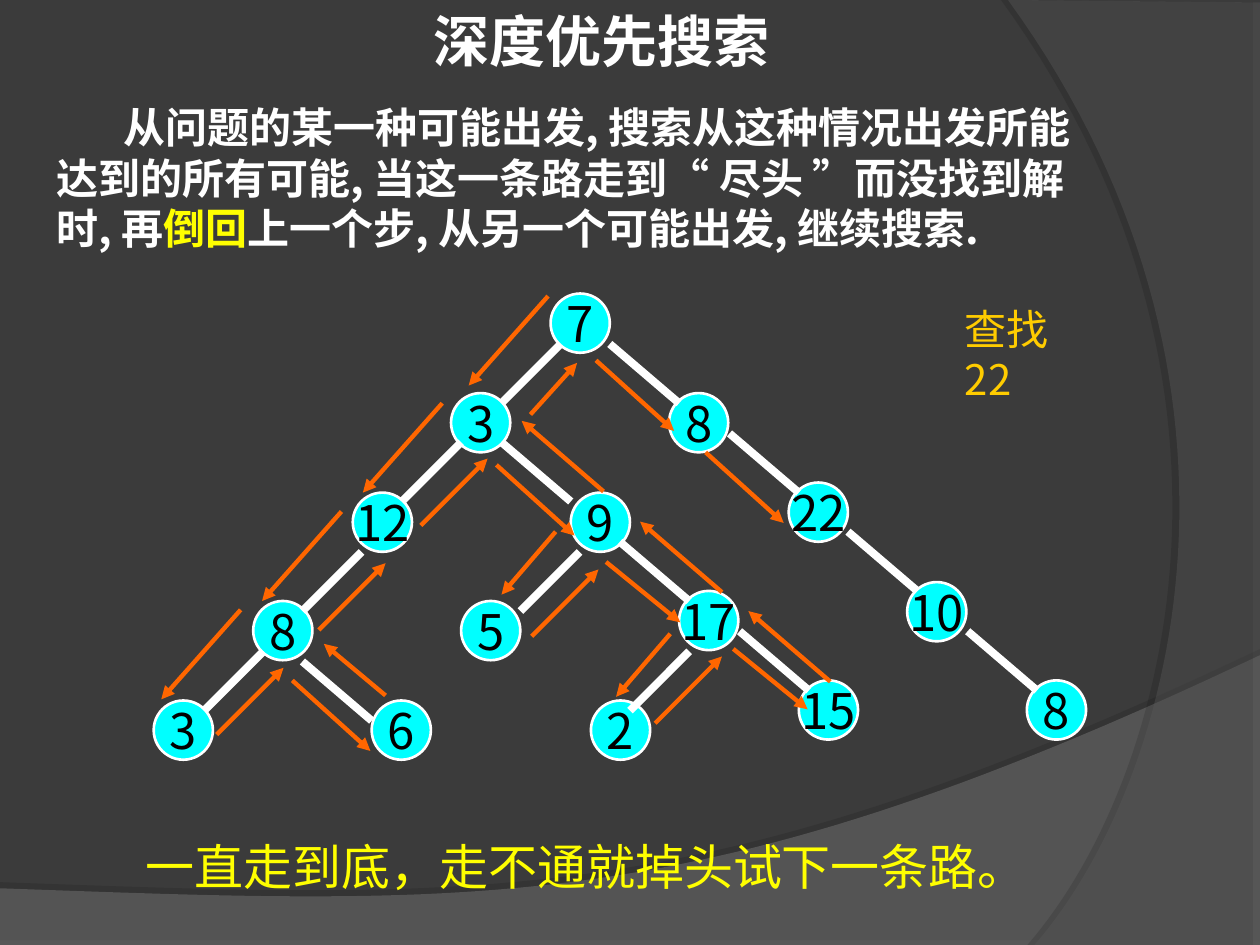
from lxml.etree import SubElement
from pptx import Presentation
from pptx.dml.color import RGBColor
from pptx.enum.shapes import MSO_CONNECTOR, MSO_SHAPE
from pptx.enum.text import MSO_ANCHOR, MSO_AUTO_SIZE, PP_ALIGN
from pptx.oxml.ns import qn
from pptx.util import Inches, Pt

COLORS = {
    "background": "3B3B3B",
    "lower_wave": "7C7C7C",
    "right_wave": "595959",
    "shadow": "000000",
    "white": "FFFFFF",
    "yellow": "FFFF00",
    "gold": "FFCC00",
    "node": "00FFFF",
    "node_text": "000000",
    "arrow": "FF6600",
}
CJK_FONT = "Noto Sans CJK SC"
NODE_SIZE = 0.47
CURVE_STEPS = 60

NODES = [
    ("7", 4.37, 2.33), ("3", 3.58, 3.12), ("22", 6.26, 3.83),
    ("8", 2.01, 4.77), ("8", 5.31, 3.12), ("9", 4.53, 3.91),
    ("12", 2.8, 3.91), ("10", 7.2, 4.62), ("17", 5.39, 4.69),
    ("5", 3.66, 4.77), ("6", 2.95, 5.56), ("8", 8.15, 5.4),
    ("15", 6.34, 5.4), ("2", 4.69, 5.56), ("3", 1.22, 5.56),
]
BRANCHES = {
    (-0.47, 0.47): [(4.45, 2.73), (3.66, 3.51), (2.87, 4.38), (2.09, 5.17),
                    (4.6, 4.38), (5.47, 5.17)],
    (0.55, 0.47): [(4.84, 2.73), (5.79, 3.44), (6.73, 4.22), (5.87, 5.01),
                   (3.98, 3.51), (2.4, 5.25), (4.92, 4.3), (7.68, 5.01)],
}
SEARCH_STEPS = {
    (-0.63, 0.71): [(4.35, 2.35), (3.51, 3.2), (2.71, 4.06), (1.91, 4.84)],
    (-0.43, 0.5): [(4.41, 4.22), (5.32, 5.03)],
    (0.62, 0.56): [(2.32, 5.4), (3.94, 3.69), (4.73, 2.86), (5.6, 3.59)],
    (0.59, 0.48): [(4.81, 4.46), (5.82, 5.15)],
    (0.53, -0.53): [(1.72, 5.83), (2.53, 5), (3.34, 4.17), (4.22, 5.05), (5.2, 5.74)],
    (0.37, -0.41): [(4.21, 3.29)],
    (-0.65, -0.56): [(6.59, 5.41), (5.73, 4.7), (4.79, 3.9)],
    (-0.49, -0.41): [(3.06, 5.52)],
}


def color(name):
    return RGBColor.from_string(COLORS[name])


def style_font(font, size, color_name, name, bold=False):
    font.size = Pt(size)
    font.name = name
    font.bold = bold
    font.color.rgb = color(color_name)


def curve_points(controls):
    points = []
    for step in range(CURVE_STEPS + 1):
        t = step / CURVE_STEPS
        weights = ((1 - t) ** 3, 3 * t * (1 - t) ** 2, 3 * t * t * (1 - t), t ** 3)
        points.append(tuple(
            Inches(sum(weight * control[axis] for weight, control in zip(weights, controls)))
            for axis in (0, 1)
        ))
    return points


def add_wave(slide, corners, controls, color_name, opacity, shadow):
    points = [(Inches(x), Inches(y)) for x, y in corners] + curve_points(controls)
    builder = slide.shapes.build_freeform(*points[0])
    builder.add_line_segments(points[1:], close=True)
    shape = builder.convert_to_shape()
    shape.fill.solid()
    shape.fill.fore_color.rgb = color(color_name)
    shape.line.fill.background()
    shape.shadow.inherit = False
    fill_color = shape._element.spPr.find(qn("a:solidFill"))[0]
    SubElement(fill_color, qn("a:alpha"), val=str(opacity * 1000))
    shadow_opacity, distance, angle = shadow
    effects = shape._element.spPr.find(qn("a:effectLst"))
    outer = SubElement(effects, qn("a:outerShdw"), blurRad="0", dist=str(Pt(distance)),
                       dir=str(angle * 60000), algn="ctr", rotWithShape="0")
    shadow_color = SubElement(outer, qn("a:srgbClr"), val=COLORS["shadow"])
    SubElement(shadow_color, qn("a:alpha"), val=str(shadow_opacity * 1000))


def set_title(slide, text):
    title = slide.shapes.title
    title.left, title.top = Inches(3.34), Inches(0)
    title.width, title.height = Inches(2.87), Inches(0.64)
    frame = title.text_frame
    frame.text = text
    frame.word_wrap = False
    frame.auto_size = MSO_AUTO_SIZE.NONE
    frame.vertical_anchor = MSO_ANCHOR.TOP
    paragraph = frame.paragraphs[0]
    paragraph.alignment = PP_ALIGN.LEFT
    style_font(paragraph.font, 32, "white", "Arial", bold=True)


def add_text(slide, box, runs, size, font_name, bold=False, indent=0):
    shape = slide.shapes.add_textbox(*[Inches(value) for value in box])
    shape.text_frame.word_wrap = True
    paragraph = shape.text_frame.paragraphs[0]
    if indent:
        paragraph._p.get_or_add_pPr().set("indent", str(Inches(indent)))
    style_font(paragraph.font, size, runs[0][1], font_name, bold)
    for text, color_name in runs:
        for index, line in enumerate(text.split("\n")):
            if index:
                paragraph.add_line_break()
            run = paragraph.add_run()
            run.text = line
            run.font.color.rgb = color(color_name)


def add_node(slide, label, left, top):
    shape = slide.shapes.add_shape(MSO_SHAPE.OVAL, Inches(left), Inches(top),
                                   Inches(NODE_SIZE), Inches(NODE_SIZE))
    shape.shadow.inherit = False
    shape.fill.solid()
    shape.fill.fore_color.rgb = color("node")
    shape.line.color.rgb = color("white")
    shape.line.width = Pt(1.5)
    frame = shape.text_frame
    frame.text = label
    frame.word_wrap = False
    frame.vertical_anchor = MSO_ANCHOR.MIDDLE
    paragraph = frame.paragraphs[0]
    paragraph.alignment = PP_ALIGN.CENTER
    style_font(paragraph.font, 28, "node_text", CJK_FONT)


def add_lines(slide, starts_by_offset, color_name, width, arrow=False):
    for (dx, dy), starts in starts_by_offset.items():
        for x, y in starts:
            line = slide.shapes.add_connector(MSO_CONNECTOR.STRAIGHT, Inches(x), Inches(y),
                                              Inches(x + dx), Inches(y + dy))
            line.line.color.rgb = color(color_name)
            line.line.width = Pt(width)
            if arrow:
                SubElement(line.line._get_or_add_ln(), qn("a:tailEnd"), type="triangle")
            SubElement(line._element.spPr, qn("a:effectLst"))


def main():
    presentation = Presentation()
    presentation.slide_width, presentation.slide_height = Inches(10), Inches(7.5)
    slide = presentation.slides.add_slide(presentation.slide_layouts[5])
    slide.background.fill.solid()
    slide.background.fill.fore_color.rgb = color("background")

    add_wave(slide, [(0, 7.51), (10, 7.51)],
             [(10, 5.2), (5.59, 7.29), (3.91, 7.19), (0, 7.05)],
             "lower_wave", 45, (25, 3.5, 270))
    add_wave(slide, [(10, 0.02), (10, 7.5)],
             [(8.21, 7.5), (9.35, 6.19), (10.18, 3), (8, 0)],
             "right_wave", 40, (31, 4, 180))

    set_title(slide, "深度优先搜索")
    add_text(slide, (0.35, 0.76, 8.43, 1.3), [
        ("从问题的某一种可能出发, 搜索从这种情况出发所能达到的所有可能, "
         "当这一条路走到“ 尽头 ”而没找到解时, 再", "white"),
        ("倒回", "yellow"),
        ("上一个步, 从另一个可能出发, 继续搜索.", "white"),
    ], 24, CJK_FONT, bold=True, indent=0.53)
    add_text(slide, (1.06, 6.59, 7.4, 0.57),
             [("一直走到底，走不通就掉头试下一条路。", "yellow")], 28, "Arial")

    for label, left, top in NODES:
        add_node(slide, label, left, top)
    add_lines(slide, BRANCHES, "white", 4.5)
    add_text(slide, (7.56, 2.36, 1.3, 0.9), [("查找\n22", "gold")], 24, CJK_FONT)
    add_lines(slide, SEARCH_STEPS, "arrow", 2.5, arrow=True)

    presentation.save("out.pptx")


if __name__ == "__main__":
    main()
